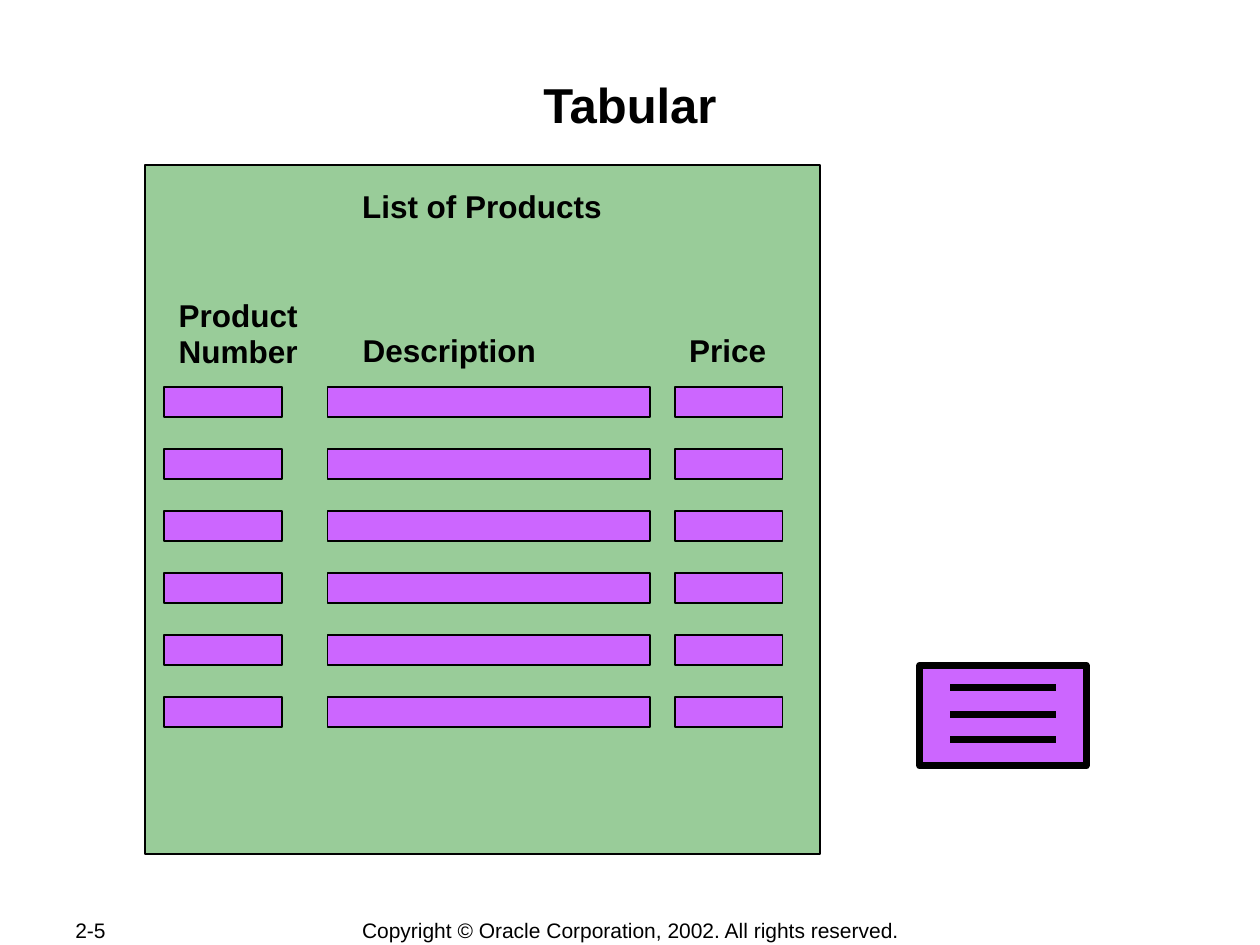
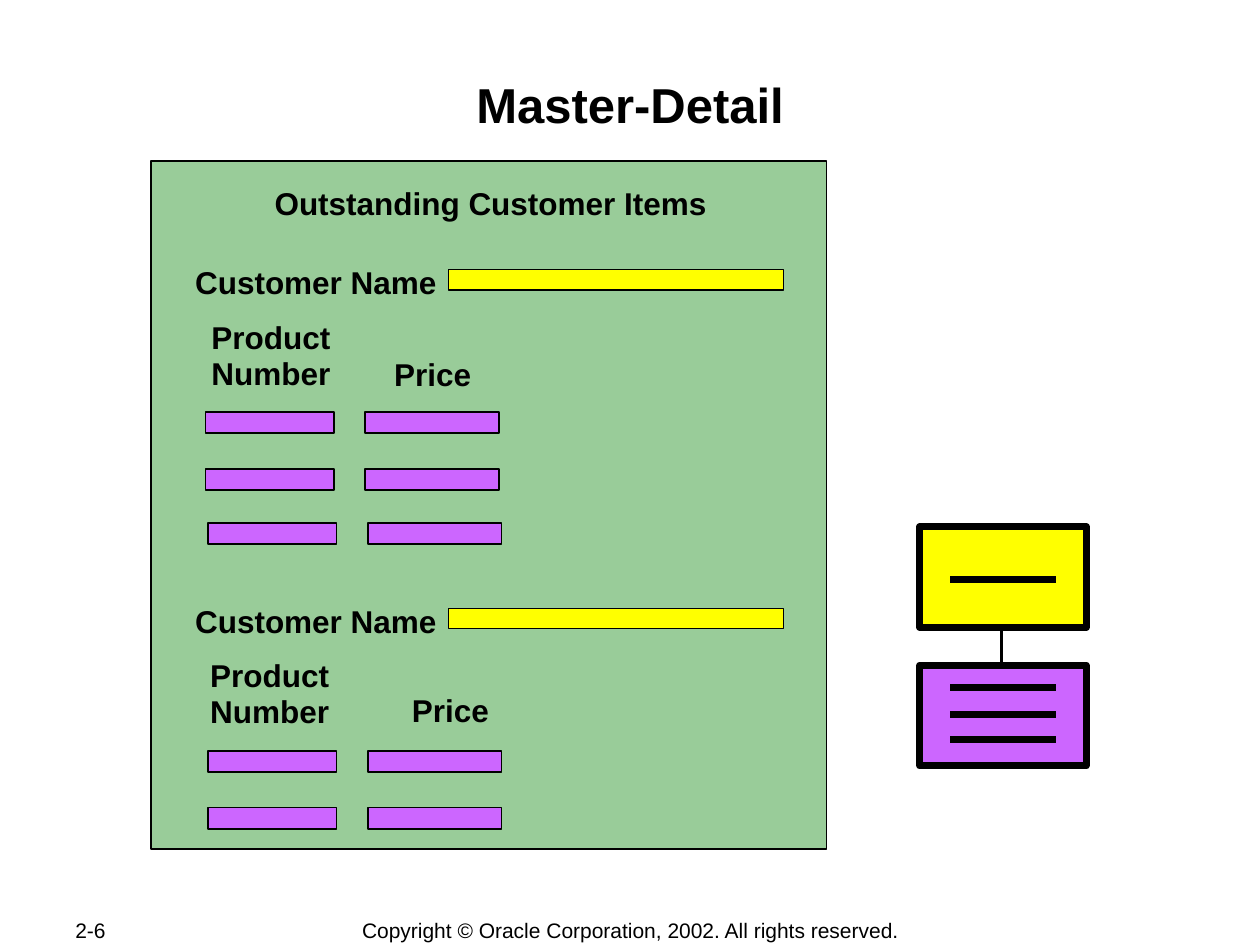
from dataclasses import dataclass

from lxml.etree import SubElement
from pptx import Presentation
from pptx.dml.color import RGBColor
from pptx.enum.shapes import MSO_CONNECTOR, MSO_SHAPE
from pptx.enum.text import MSO_ANCHOR as Anchor, MSO_AUTO_SIZE as AutoSize, PP_ALIGN as Align
from pptx.oxml.ns import qn
from pptx.util import Inches, Pt

COLOURS = {"ink": "000000", "panel": "99CC99", "detail": "CC66FF", "master": "FFFF00"}
FONT = "Arial"
COPYRIGHT = "Copyright © Oracle Corporation, 2002. All rights reserved."
LABEL_SIZE = 18
ICON_LINES = (5.46, 5.67, 5.87)


@dataclass(frozen=True)
class Area:
    left: float
    top: float
    width: float
    height: float

    def lengths(self) -> tuple:
        return tuple(Inches(n) for n in (self.left, self.top, self.width, self.height))


@dataclass(frozen=True)
class Label:
    text: str
    area: Area
    align: Align = Align.LEFT


@dataclass(frozen=True)
class BlockIcon:
    top: float
    fill: str
    line_tops: tuple[float, ...]


@dataclass(frozen=True)
class CustomerBlock:
    top: float
    product_label: tuple[float, float]
    price_label: tuple[float, float]
    rows: tuple[tuple[float, float], ...]  # left and top of each product field


DETAIL_ICON = BlockIcon(5.28, "detail", ICON_LINES)
MASTER_ICON = BlockIcon(4.18, "master", (4.6,))
CUSTOMER_BLOCKS = (
    CustomerBlock(2.06, (1.58, 2.5), (3.03, 2.79), ((1.63, 3.27), (1.63, 3.72), (1.65, 4.15))),
    CustomerBlock(4.75, (1.57, 5.18), (3.17, 5.46), ((1.65, 5.96), (1.65, 6.41))),
)


def colour(name: str) -> RGBColor:
    return RGBColor.from_string(COLOURS[name])


# Shared drawing functions
def style_paragraph(paragraph, size: float, bold: bool, align: Align) -> None:
    paragraph.alignment = align
    font = paragraph.font
    font.name, font.size, font.bold = FONT, Pt(size), bold
    font.color.rgb = colour("ink")


def add_text(page, label: Label, size: float = LABEL_SIZE, bold: bool = True,
             anchor: Anchor = Anchor.TOP, spacing: float = 0.95) -> None:
    frame = page.shapes.add_textbox(*label.area.lengths()).text_frame
    frame.word_wrap = True
    frame.vertical_anchor = anchor
    frame.text = label.text
    for paragraph in frame.paragraphs:
        style_paragraph(paragraph, size, bold, label.align)
        paragraph.line_spacing = spacing


def add_box(shapes, area: Area, fill: str, weight: float = 1) -> None:
    box = shapes.add_shape(MSO_SHAPE.RECTANGLE, *area.lengths())
    box.shadow.inherit = False
    box.fill.solid()
    box.fill.fore_color.rgb = colour(fill)
    box.line.color.rgb = colour("ink")
    box.line.width = Pt(weight)


def add_line(shapes, start: tuple[float, float], end: tuple[float, float], weight: float) -> None:
    ends = [Inches(n) for n in (*start, *end)]
    line = shapes.add_connector(MSO_CONNECTOR.STRAIGHT, *ends)
    line.line.color.rgb = colour("ink")
    line.line.width = Pt(weight)
    SubElement(line._element.spPr, qn("a:effectLst"))


def add_icon(shapes, icon: BlockIcon) -> None:
    add_box(shapes, Area(7.3, icon.top, 1.32, 0.8), icon.fill, 4)
    for top in icon.line_tops:
        add_line(shapes, (7.54, top), (8.38, top), 4)


def add_page(deck, title: str, number: str):
    """Add a slide with its title and footer."""
    page = deck.slides.add_slide(deck.slide_layouts[5])
    heading = page.shapes.title
    heading.left, heading.top, heading.width, heading.height = Area(1, 0.58, 8, 0.96).lengths()
    frame = heading.text_frame
    frame.text = title
    frame.word_wrap = True
    frame.auto_size = AutoSize.NONE
    frame.vertical_anchor = Anchor.TOP
    frame.margin_left = frame.margin_right = Inches(0.01)
    frame.margin_top = frame.margin_bottom = Inches(0.01)
    style_paragraph(frame.paragraphs[0], 28, True, Align.CENTER)
    for footer in (Label(number, Area(0.5, 7.28, 1.06, 0.2)),
                   Label(COPYRIGHT, Area(2.76, 7.28, 4.49, 0.21), Align.CENTER)):
        add_text(page, footer, 12, False, Anchor.MIDDLE, 1.0)
    return page


# Slides
def build_tabular(deck) -> None:
    page = add_page(deck, "Tabular", "2-5")
    add_box(page.shapes, Area(1.15, 1.31, 5.36, 5.47), "panel")
    for label in (Label("List of Products", Area(1.42, 1.46, 4.81, 0.39), Align.CENTER),
                  Label("Product\nNumber", Area(1.32, 2.32, 1.2, 0.67)),
                  Label("Description", Area(2.78, 2.6, 1.65, 0.39)),
                  Label("Price", Area(5.37, 2.6, 0.85, 0.39))):
        add_text(page, label)

    # Six rows of product number, description and price
    row_count, first_top, last_top = 6, 3.07, 5.53
    pitch = (last_top - first_top) / (row_count - 1)
    for row in range(row_count):
        for left, width in ((1.3, 0.94), (2.6, 2.56), (5.36, 0.85)):
            add_box(page.shapes, Area(left, first_top + row * pitch, width, 0.24), "detail")

    add_icon(page.shapes.add_group_shape().shapes, DETAIL_ICON)


def add_customer(page, block: CustomerBlock) -> None:
    add_text(page, Label("Customer Name", Area(1.45, block.top, 2.15, 0.39)))
    add_box(page.shapes, Area(3.56, block.top + 0.08, 2.66, 0.16), "master")
    add_text(page, Label("Product\nNumber", Area(*block.product_label, 1.22, 0.67)))
    add_text(page, Label("Price", Area(*block.price_label, 0.85, 0.39)))
    for left, top in block.rows:
        add_box(page.shapes, Area(left, top, 1.02, 0.17), "detail")
        add_box(page.shapes, Area(left + 1.27, top, 1.06, 0.17), "detail")


def build_master_detail(deck) -> None:
    page = add_page(deck, "Master-Detail", "2-6")

    # Master block linked to its detail block
    icons = page.shapes.add_group_shape().shapes
    add_line(icons, (7.95, 4.93), (7.95, 5.41), 2)
    for icon in (DETAIL_ICON, MASTER_ICON):
        add_icon(icons, icon)

    add_box(page.shapes, Area(1.2, 1.28, 5.36, 5.46), "panel")
    add_text(page, Label("Outstanding Customer Items", Area(1.21, 1.43, 5.37, 0.39), Align.CENTER))
    for block in CUSTOMER_BLOCKS:
        add_customer(page, block)


def main() -> None:
    deck = Presentation()
    deck.slide_width, deck.slide_height = Inches(10), Inches(7.5)
    build_tabular(deck)
    build_master_detail(deck)
    deck.save("out.pptx")


if __name__ == "__main__":
    main()
